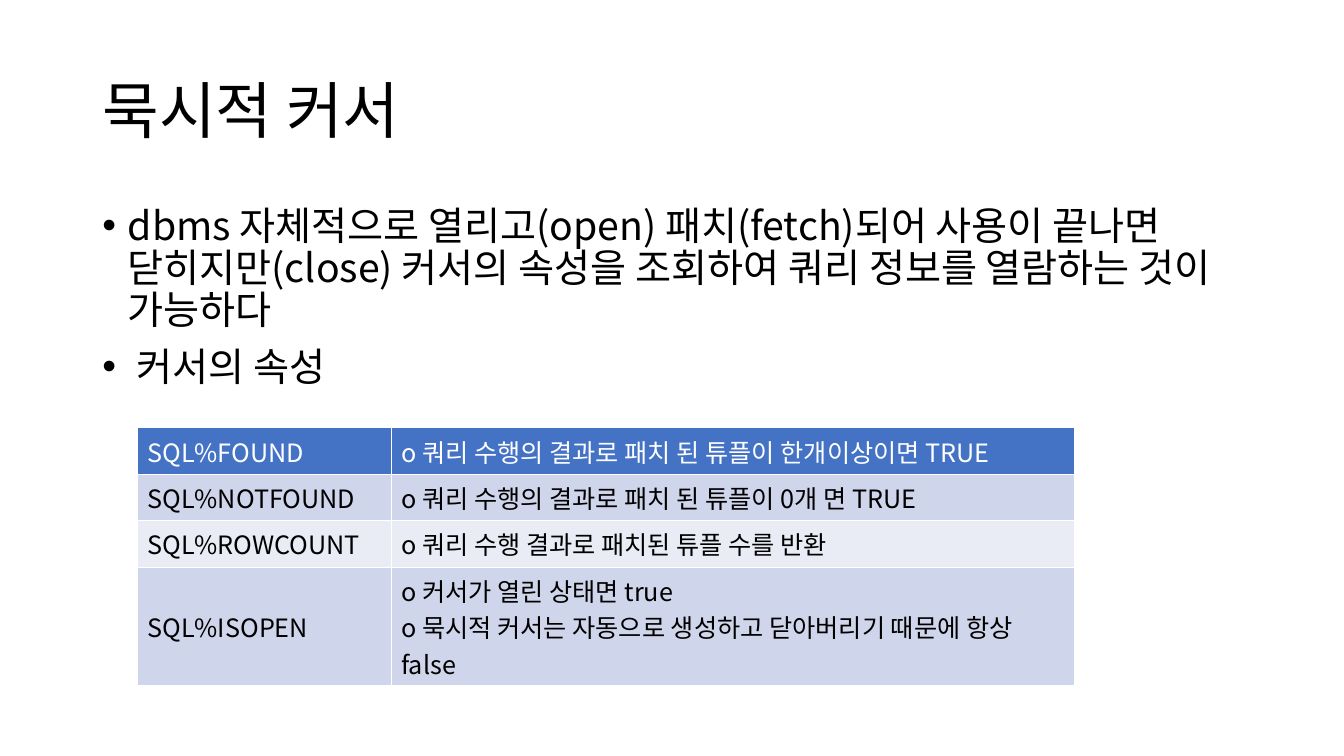
import pptx
import pptx.util
import pptx.dml.color
import pptx.enum.text
import pptx.oxml.ns
from dataclasses import dataclass
from lxml import etree
from pptx.util import Cm


@dataclass(frozen=True)
class Theme:
    font: str = "Noto Sans CJK KR"
    text: str = "000000"
    header_text: str = "FFFFFF"
    header_fill: str = "4472C4"
    bands: tuple = ("CFD5EA", "E9EBF5")
    title_size: int = 44
    body_size: int = 28
    table_size: int = 18


theme = Theme()


def format_runs(paragraph, size, color):
    """Set Latin and East Asian font, size and colour on every run."""
    for run in paragraph.runs:
        run.font.name = theme.font
        run.font.size = pptx.util.Pt(size)
        run.font.bold = False
        run.font.color.rgb = pptx.dml.color.RGBColor.from_string(color)
        east_asian = etree.Element(pptx.oxml.ns.qn("a:ea"), typeface=theme.font)
        run.font._element.find(pptx.oxml.ns.qn("a:latin")).addnext(east_asian)


presentation = pptx.Presentation()
presentation.slide_width = Cm(33.87)
presentation.slide_height = Cm(19.05)
slide = presentation.slides.add_slide(presentation.slide_layouts[5])

# Title
title = slide.shapes.title
title.left, title.top, title.width, title.height = Cm(2.33), Cm(1.01), Cm(29.21), Cm(3.68)
title.text_frame.text = "묵시적 커서"
title.text_frame.auto_size = pptx.enum.text.MSO_AUTO_SIZE.NONE
title.text_frame.vertical_anchor = pptx.enum.text.MSO_ANCHOR.MIDDLE
heading = title.text_frame.paragraphs[0]
heading.alignment = pptx.enum.text.PP_ALIGN.LEFT
heading.line_spacing = 0.9
format_runs(heading, theme.title_size, theme.text)

# Explanation
points = [
    "dbms 자체적으로 열리고(open) 패치(fetch)되어 사용이 끝나면 닫히지만(close) "
    "커서의 속성을 조회하여 쿼리 정보를 열람하는 것이 가능하다",
    " 커서의 속성",
]
explanation = slide.shapes.add_textbox(Cm(2.33), Cm(5.07), Cm(29.21), Cm(5.2)).text_frame
explanation.word_wrap = True
for index, point in enumerate(points):
    paragraph = explanation.add_paragraph() if index else explanation.paragraphs[0]
    paragraph.text = point
    paragraph.line_spacing = 0.9
    if index:
        paragraph.space_before = pptx.util.Pt(10)
    properties = paragraph._p.get_or_add_pPr()
    properties.set("marL", str(Cm(0.64)))
    properties.set("indent", str(-Cm(0.64)))
    etree.SubElement(properties, pptx.oxml.ns.qn("a:buFont"), typeface="Arial")
    etree.SubElement(properties, pptx.oxml.ns.qn("a:buChar"), char="•")
    format_runs(paragraph, theme.body_size, theme.text)

# Cursor attributes
attributes = [
    ("SQL%FOUND", "o 쿼리 수행의 결과로 패치 된 튜플이 한개이상이면 TRUE"),
    ("SQL%NOTFOUND", "o 쿼리 수행의 결과로 패치 된 튜플이 0개 면 TRUE"),
    ("SQL%ROWCOUNT", "o 쿼리 수행 결과로 패치된 튜플 수를 반환"),
    ("SQL%ISOPEN", "o 커서가 열린 상태면 true\n"
                   "o 묵시적 커서는 자동으로 생성하고 닫아버리기 때문에 항상 false"),
]
column_widths = (Cm(6.4), Cm(17.22))
row_heights = (Cm(1.17), Cm(1.17), Cm(1.17), Cm(2.98))
attribute_table = slide.shapes.add_table(
    len(attributes), len(column_widths), Cm(3.46), Cm(10.78),
    sum(column_widths), sum(row_heights)).table
for column, width in zip(attribute_table.columns, column_widths):
    column.width = width
for row_index, (row, height) in enumerate(zip(attribute_table.rows, row_heights)):
    row.height = height
    fill = theme.bands[(row_index - 1) % 2] if row_index else theme.header_fill
    color = theme.text if row_index else theme.header_text
    for cell, text in zip(row.cells, attributes[row_index]):
        cell.fill.solid()
        cell.fill.fore_color.rgb = pptx.dml.color.RGBColor.from_string(fill)
        cell.vertical_anchor = pptx.enum.text.MSO_ANCHOR.MIDDLE
        paragraph = cell.text_frame.paragraphs[0]
        paragraph.text = text
        format_runs(paragraph, theme.table_size, color)

presentation.save("out.pptx")
